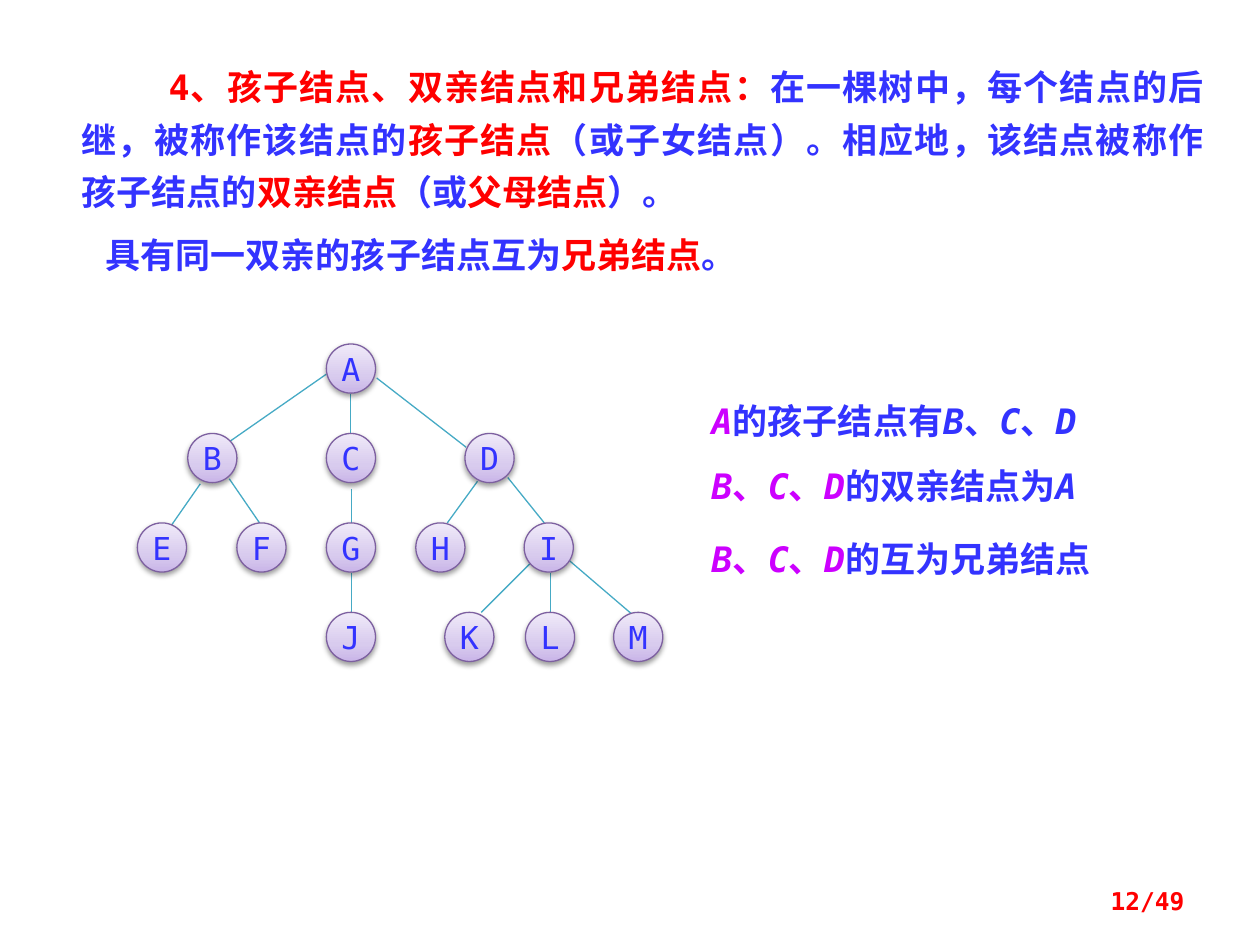
from lxml import etree
from pptx import Presentation
from pptx.dml.color import RGBColor
from pptx.enum.shapes import MSO_CONNECTOR, MSO_SHAPE
from pptx.enum.text import MSO_ANCHOR, MSO_AUTO_SIZE, PP_ALIGN
from pptx.oxml.ns import qn
from pptx.util import Inches, Pt

FONT = "DejaVu Sans Mono"
RED = RGBColor(0xFF, 0x00, 0x00)
BLUE = RGBColor(0x33, 0x33, 0xFF)
MAGENTA = RGBColor(0xCC, 0x00, 0xFF)
TEAL = RGBColor(0x46, 0xAA, 0xC5)
PURPLE = RGBColor(0x7D, 0x60, 0xA0)
NODE_GRADIENT = [(0, "C9B5E8"), (35, "D8CBEE"), (100, "F0EAF9")]
STRAIGHT = MSO_CONNECTOR.STRAIGHT
OVAL = MSO_SHAPE.OVAL
MIDDLE = MSO_ANCHOR.MIDDLE
FIT_SHAPE = MSO_AUTO_SIZE.SHAPE_TO_FIT_TEXT
CENTER, RIGHT, JUSTIFY = PP_ALIGN.CENTER, PP_ALIGN.RIGHT, PP_ALIGN.JUSTIFY

prs = Presentation()
prs.slide_width, prs.slide_height = Inches(10), Inches(7.5)
slide = prs.slides.add_slide(prs.slide_layouts[6])


def add_text_frame(left, top, width, height):
    frame = slide.shapes.add_textbox(
        Inches(left), Inches(top), Inches(width), Inches(height)).text_frame
    frame.word_wrap = True
    return frame


def add_run(paragraph, text, color, size=20, bold=True, italic=False):
    run = paragraph.add_run()
    run.text = text
    run.font.name = FONT
    run.font.size = Pt(size)
    run.font.bold = bold
    run.font.italic = italic
    run.font.color.rgb = color


# Definitions: first-line indent and coloured runs of each paragraph
definitions = [
    (0.69, [
        ("4、孩子结点、双亲结点和兄弟结点：", RED),
        ("在一棵树中，每个结点的后继，被称作该结点的", BLUE),
        ("孩子结点", RED),
        ("（或子女结点）。相应地，该结点被称作孩子结点的", BLUE),
        ("双亲结点", RED),
        ("（或", BLUE),
        ("父母结点", RED),
        ("）。", BLUE),
    ]),
    (0.19, [
        ("具有同一双亲的孩子结点互为", BLUE),
        ("兄弟结点", RED),
        ("。", BLUE),
    ]),
]
definition_frame = add_text_frame(0.55, 0.39, 9.1, 1.87)
definition_frame.auto_size = FIT_SHAPE
for index, (indent, pieces) in enumerate(definitions):
    if index == 0:
        paragraph = definition_frame.paragraphs[0]
    else:
        paragraph = definition_frame.add_paragraph()
        paragraph.space_before = Pt(6)
    paragraph.alignment = JUSTIFY
    paragraph.line_spacing = Pt(30)
    paragraph._p.get_or_add_pPr().set("indent", str(Inches(indent)))
    for text, color in pieces:
        add_run(paragraph, text, color)

# Tree branches
tree = slide.shapes.add_group_shape()
branches = [
    (2.59, 2.97, 1.80, 3.52),  # A-B
    (2.78, 3.13, 2.78, 3.44),  # A-C
    (2.99, 3.00, 3.70, 3.55),  # A-D
    (1.59, 3.84, 1.36, 4.17),  # B-E
    (1.82, 3.80, 2.06, 4.15),  # B-F
    (2.79, 3.88, 2.79, 4.15),  # C-G
    (3.79, 3.82, 3.55, 4.15),  # D-H
    (4.03, 3.79, 4.32, 4.15),  # D-I
    (2.79, 4.55, 2.79, 4.86),  # G-J
    (4.21, 4.47, 3.82, 4.86),  # I-K
    (4.37, 4.55, 4.37, 4.86),  # I-L
    (4.52, 4.45, 5.01, 4.87),  # I-M
]
for ends in branches:
    branch = tree.shapes.add_connector(STRAIGHT, *map(Inches, ends))
    branch.line.color.rgb = TEAL
    branch.line.width = Pt(0.75)
    etree.SubElement(branch._element.spPr, qn("a:effectLst"))

# Tree nodes: left edge of each node, level by level
levels = [
    {"A": 2.59},
    {"B": 1.49, "C": 2.59, "D": 3.69},
    {"E": 1.09, "F": 1.88, "G": 2.59, "H": 3.3, "I": 4.16},
    {"J": 2.59, "K": 3.53, "L": 4.17, "M": 4.87},
]
ROOT_TOP, LEVEL_STEP, DIAMETER = 2.73, 0.71, 0.39
for depth, level in enumerate(levels):
    for letter, left in level.items():
        node = tree.shapes.add_shape(
            OVAL, Inches(left), Inches(ROOT_TOP + depth * LEVEL_STEP),
            Inches(DIAMETER), Inches(DIAMETER))
        node.line.color.rgb = PURPLE
        node.line.width = Pt(0.75)

        # Three-stop gradient, dark at the bottom
        node.fill.gradient()
        node.fill.gradient_angle = 90
        stops = node._element.spPr.find(".//" + qn("a:gsLst"))
        for stop in list(stops):
            stops.remove(stop)
        for position, color in NODE_GRADIENT:
            stop = etree.SubElement(stops, qn("a:gs"), pos=str(position * 1000))
            etree.SubElement(stop, qn("a:srgbClr"), val=color)

        # Soft shadow below
        node.shadow.inherit = False
        effects = node._element.spPr.find(qn("a:effectLst"))
        shadow = etree.SubElement(
            effects, qn("a:outerShdw"), blurRad=str(Pt(3.1)),
            dist=str(Pt(1.6)), dir="5400000", rotWithShape="0")
        shade = etree.SubElement(shadow, qn("a:srgbClr"), val="000000")
        etree.SubElement(shade, qn("a:alpha"), val="38000")

        frame = node.text_frame
        frame.word_wrap = False
        frame.vertical_anchor = MIDDLE
        frame.paragraphs[0].alignment = CENTER
        add_run(frame.paragraphs[0], letter, BLUE, size=18, bold=False)

# Relations: node letters are italic
siblings = ["B", "、", "C", "、", "D"]
relations = [
    (3.12, 3.91, ["A"], ["的孩子结点有"] + siblings),
    (3.64, 3.67, siblings, ["的双亲结点为", "A"]),
    (4.22, 3.67, siblings, ["的互为兄弟结点"]),
]
for top, width, subject, statement in relations:
    frame = add_text_frame(5.55, top, width, 0.44)
    frame.auto_size = FIT_SHAPE
    for pieces, color in ((subject, MAGENTA), (statement, BLUE)):
        for text in pieces:
            add_run(frame.paragraphs[0], text, color, italic=text in "ABCD")

# Page number
page_frame = add_text_frame(7.17, 6.95, 2.33, 0.4)
page_frame.vertical_anchor = MIDDLE
page_frame.paragraphs[0].alignment = RIGHT
add_run(page_frame.paragraphs[0], "12/49", RED, size=14)

prs.save("out.pptx")
